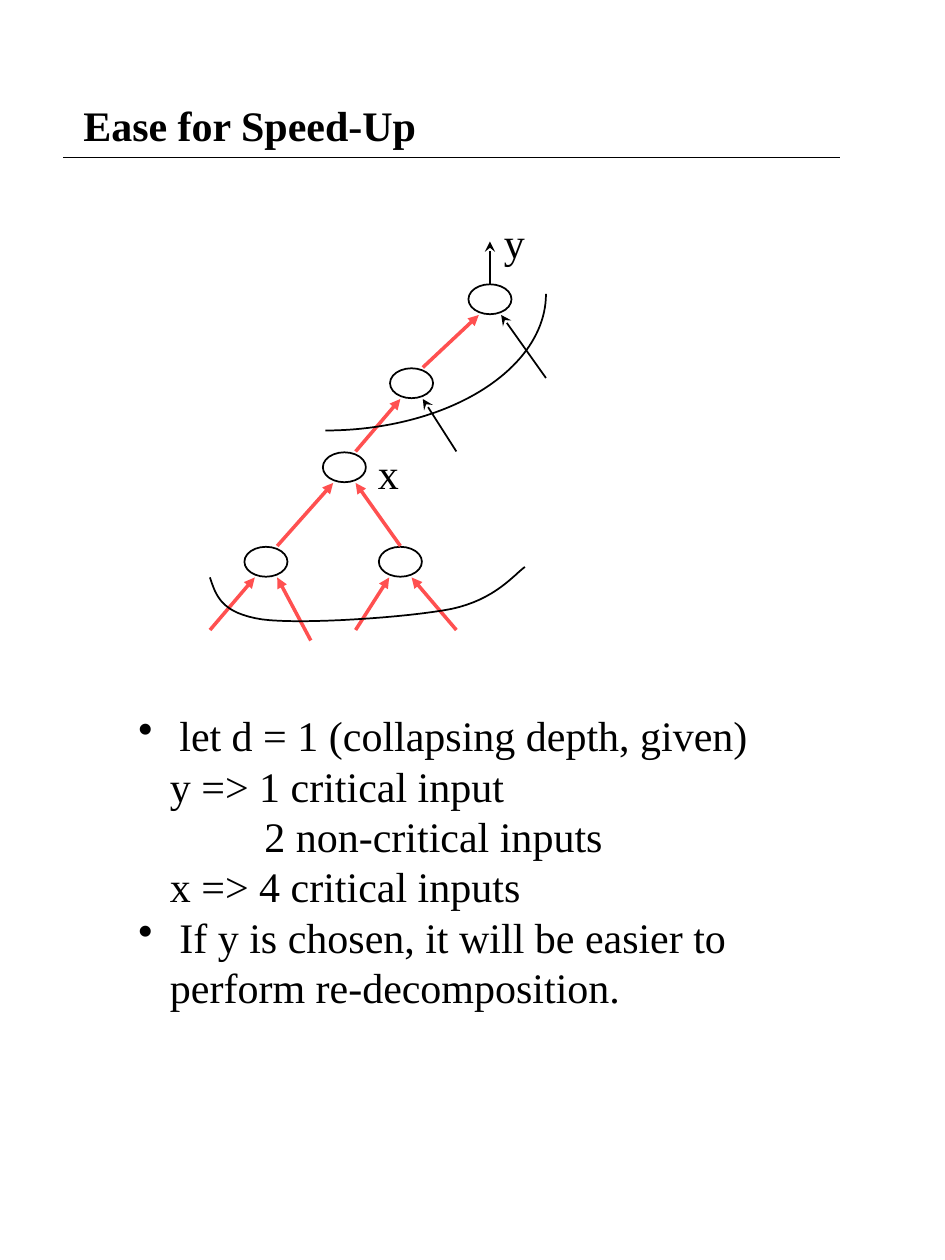
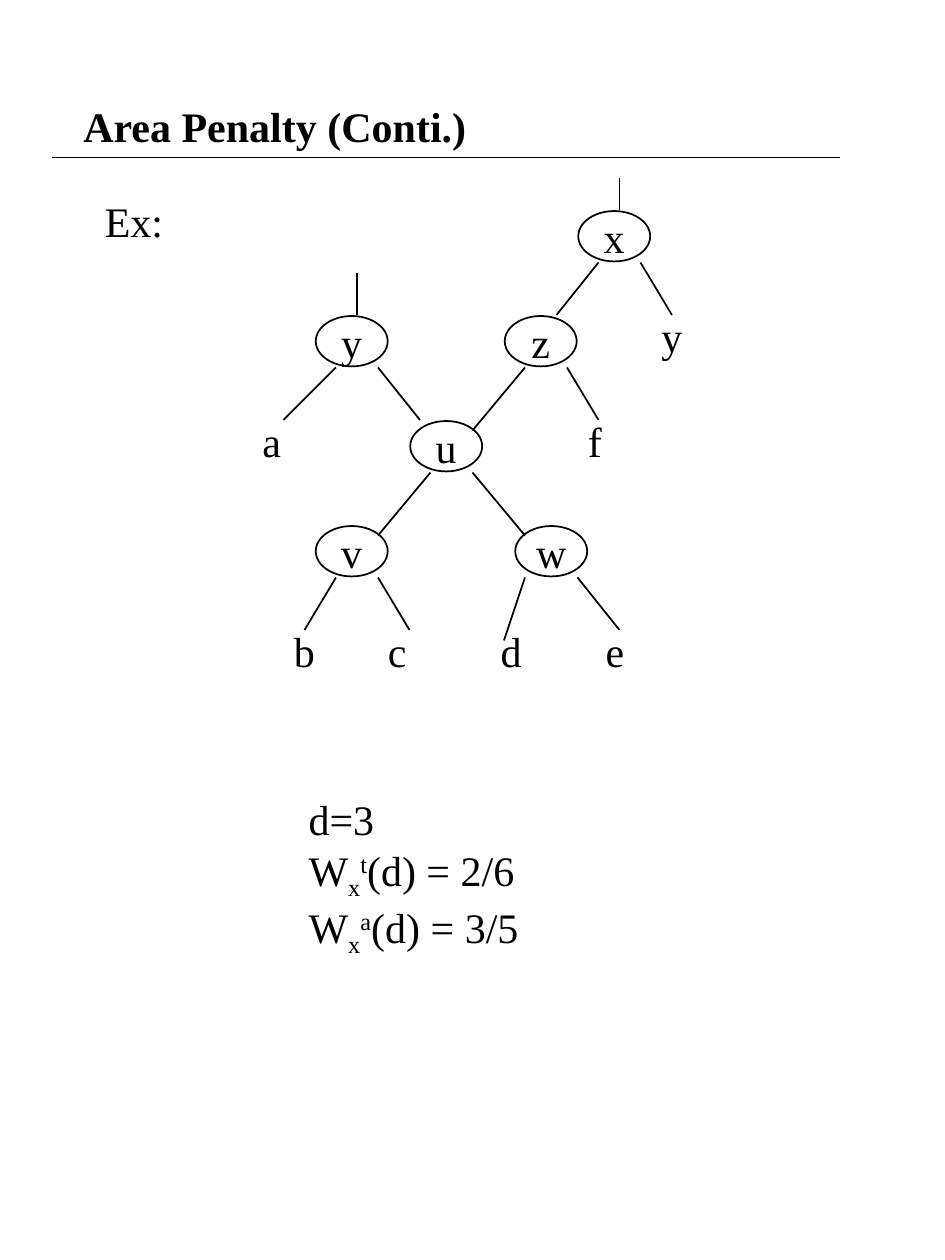
"""Builds two slides on speed-up and area penalty in decomposition trees."""
from lxml import etree
from pptx import Presentation, util as u
from pptx.dml.color import RGBColor
from pptx.enum import shapes, text
from pptx.oxml.ns import qn

COLOURS = {"ink": "000000", "critical": "FF5050", "paper": "FFFFFF"}
FONT = {"name": "Times New Roman", "size": u.Pt(24)}
INSETS = {"margin_left": u.Inches(0.1), "margin_right": u.Inches(0.1),
          "margin_top": u.Inches(0.05), "margin_bottom": u.Inches(0.05)}
WIDTH, HEIGHT = u.Inches(7.5), u.Inches(10)
COLUMNS, ROWS = 90, 120
BRANCH_LEFT, BRANCH_STEP = 20, 16 / 15


def apply(target, values):
    """Set each attribute in values on target."""
    for key, value in values.items():
        setattr(target, key, value)


def col(count):
    """Length of a number of grid columns."""
    return round(count * WIDTH / COLUMNS)


def row(count):
    """Length of a number of grid rows."""
    return round(count * HEIGHT / ROWS)


def branch(count):
    """Grid column of a step across the speed-up tree."""
    return BRANCH_LEFT + count * BRANCH_STEP


def colour(name):
    """Colour from the palette."""
    return RGBColor.from_string(COLOURS[name])


def child(parent, tag, **attributes):
    """Append a drawing element."""
    return etree.SubElement(parent, qn(tag), attributes)


def outline(shape, ink="ink", weight=1):
    """Give a shape or connector its line."""
    shape.line.color.rgb = colour(ink)
    shape.line.width = u.Pt(weight)


def write(frame, lines, bold=False, align=text.PP_ALIGN.LEFT):
    """Fill a frame with lines, each a string or a dict of runs and indents."""
    apply(frame, INSETS)
    for index, line in enumerate(lines):
        if isinstance(line, str):
            line = {"runs": [(line, 0)]}
        paragraph = frame.paragraphs[0] if index == 0 else frame.add_paragraph()
        paragraph.alignment = align
        for words, baseline in line["runs"]:
            run = paragraph.add_run()
            run.text = words
            apply(run.font, {**FONT, "bold": bold})
            run.font.color.rgb = colour("ink")
            if baseline:
                run.font._element.set("baseline", str(baseline * 1000))
        layout = paragraph._p.get_or_add_pPr()
        indent = col(line.get("indent", 0))
        layout.set("marL", str(indent))
        layout.set("indent", str(-indent if line.get("bullet") else 0))
        if line.get("bullet"):
            child(layout, "a:buChar", char="•")


def label(slide, left, top, width, height, lines, wrap=False, **style):
    """Add a text box and return its frame."""
    frame = slide.shapes.add_textbox(col(left), row(top), col(width), row(height)).text_frame
    frame.word_wrap = wrap
    write(frame, lines, **style)
    return frame


def edge(slide, start, end, ink="ink", weight=1, arrow=None):
    """Add a line between two grid points, with an arrowhead at its end."""
    line = slide.shapes.add_connector(shapes.MSO_CONNECTOR.STRAIGHT, col(start[0]), row(start[1]),
                                      col(end[0]), row(end[1]))
    outline(line, ink, weight)
    if arrow:
        child(line.line._get_or_add_ln(), "a:tailEnd", type=arrow)
    child(line._element.spPr, "a:effectLst")


def node(slide, centre, size, letter=None):
    """Add a half-clear oval around a grid point."""
    (x, y), (width, height) = centre, size
    oval = slide.shapes.add_shape(shapes.MSO_SHAPE.OVAL, col(x - width / 2), row(y - height / 2),
                                  col(width), row(height))
    oval.shadow.inherit = False
    oval.fill.solid()
    oval.fill.fore_color.rgb = colour("paper")
    child(oval._element.spPr.find(".//" + qn("a:srgbClr")), "a:alpha", val="50000")
    outline(oval)
    if letter:
        apply(oval.text_frame, {"word_wrap": False, "vertical_anchor": text.MSO_ANCHOR.MIDDLE})
        write(oval.text_frame, [letter], align=text.PP_ALIGN.CENTER)


def cut_arc(slide, left, top, width, height):
    """Add the lower right quarter of an ellipse."""
    arc = slide.shapes.add_shape(shapes.MSO_SHAPE.ARC, col(left), row(top), col(width), row(height))
    arc.adjustments[0], arc.adjustments[1] = 0, 54
    arc.shadow.inherit = False
    arc.fill.background()
    outline(arc)


def cut_curve(slide, points, steps=16):
    """Add an open curve through chained cubic Bezier points."""
    track = []
    for first in range(0, len(points) - 1, 3):
        a, b, c, d = points[first:first + 4]
        for step in range(1, steps + 1):
            t = step / steps
            weights = ((1 - t) ** 3, 3 * t * (1 - t) ** 2, 3 * t * t * (1 - t), t ** 3)
            x, y = (sum(w * p[axis] for w, p in zip(weights, (a, b, c, d))) for axis in (0, 1))
            track.append((col(x), row(y)))
    builder = slide.shapes.build_freeform(col(points[0][0]), row(points[0][1]))
    builder.add_line_segments(track, close=False)
    curve = builder.convert_to_shape()
    curve.shadow.inherit = False
    curve.fill.background()
    outline(curve)


def titled_slide(deck, title, top, height, rule_left):
    """Add a blank slide with a bold title over a rule."""
    slide = deck.slides.add_slide(deck.slide_layouts[6])
    heading = label(slide, 6.75, top, 76.4, height, [title], wrap=True, bold=True)
    heading.vertical_anchor = text.MSO_ANCHOR.MIDDLE
    edge(slide, (rule_left, 15), (80, 15))
    return slide


def speed_up(deck):
    """Tree with critical paths and the two cuts."""
    slide = titled_slide(deck, "Ease for Speed-Up", 4.7, 14.3, 6)
    for step, y in [(25, 28.5), (18, 36.5), (12, 44.5), (17, 53.5), (5, 53.5)]:
        node(slide, (branch(step), y), (4.1, 2.85))
    critical = [(19, 35, 24, 30), (13, 43, 17, 38), (6, 52, 11, 46), (17, 52, 13, 46),
                (0, 60, 4, 55), (9, 61, 6, 55), (13, 60, 16, 55), (22, 60, 18, 55)]
    other = [(25, 27, 25, 23), (30, 36, 26, 30), (22, 43, 19, 38)]
    for paths, style in [(critical, ("critical", 2, "triangle")), (other, ("ink", 1, "stealth"))]:
        for x1, y1, x2, y2 in paths:
            edge(slide, (branch(x1), y1), (branch(x2), y2), *style)
    label(slide, 46.8, 20, 4.4, 6, ["y"])
    label(slide, 34.8, 42, 4.4, 6, ["x"])
    cut_arc(slide, 10, 15, 42, 26)
    label(slide, 12, 67, 68, 30, [
        {"runs": [("let d = 1 (collapsing depth, given)", 0)], "indent": 3.9, "bullet": True},
        {"runs": [("y => 1 critical input", 0)], "indent": 3},
        {"runs": [("2 non-critical inputs", 0)], "indent": 12},
        {"runs": [("x => 4 critical inputs", 0)], "indent": 3},
        {"runs": [("If y is chosen, it will be easier to", 0)], "indent": 3.9, "bullet": True},
        {"runs": [("perform re-decomposition.", 0)], "indent": 3},
    ], wrap=True)
    cut_curve(slide, [(20, 55), (20.6, 56.8), (21.1, 58.4), (25, 59), (28.8, 59.5), (38.9, 58.8),
                      (43, 58), (47.2, 57.1), (49, 54.7), (50, 54)])


def area_penalty(deck):
    """Tree with a shared node and its weights."""
    slide = titled_slide(deck, "Area Penalty (Conti.)", 4, 16, 5)
    weights = [{"runs": [("W", 0), ("x", -25), (kind, 30), (f"(d) = {value}", 0)]}
               for kind, value in [("t", "2/6"), ("a", "3/5")]]
    label(slide, 28.2, 75, 22.4, 16.9, ["d=3", *weights])
    label(slide, 8.8, 18, 8, 6, ["Ex:"])
    for letter, x, y in [("x", 58.5, 22.5), ("y", 33.5, 32.5), ("z", 51.5, 32.5),
                         ("u", 42.5, 42.5), ("w", 52.5, 52.5), ("v", 33.5, 52.5)]:
        node(slide, (x, y), (6.85, 4.8), letter)
    for x1, y1, x2, y2 in [(59, 20, 59, 17), (57, 25, 53, 30), (61, 25, 64, 30),
                           (34, 30, 34, 26), (32, 35, 27, 40), (36, 35, 40, 40),
                           (50, 35, 45, 41), (54, 35, 57, 40), (41, 45, 36, 51),
                           (45, 45, 50, 51), (32, 55, 29, 60), (36, 55, 39, 60),
                           (50, 55, 48, 61), (55, 55, 59, 60)]:
        edge(slide, (x1, y1), (x2, y2))
    for letter, left, top, width in [("y", 61.8, 29, 4.4), ("a", 23.8, 39, 4.2), ("f", 54.8, 39, 3.7),
                                     ("b", 26.8, 59, 4.4), ("c", 35.75, 59, 4.2),
                                     ("d", 46.5, 59, 4.4), ("e", 56.5, 59, 4.2)]:
        label(slide, left, top, width, 6, [letter])


def main():
    """Build and save the deck."""
    deck = Presentation()
    apply(deck, {"slide_width": WIDTH, "slide_height": HEIGHT})
    speed_up(deck)
    area_penalty(deck)
    deck.save("out.pptx")


if __name__ == "__main__":
    main()
